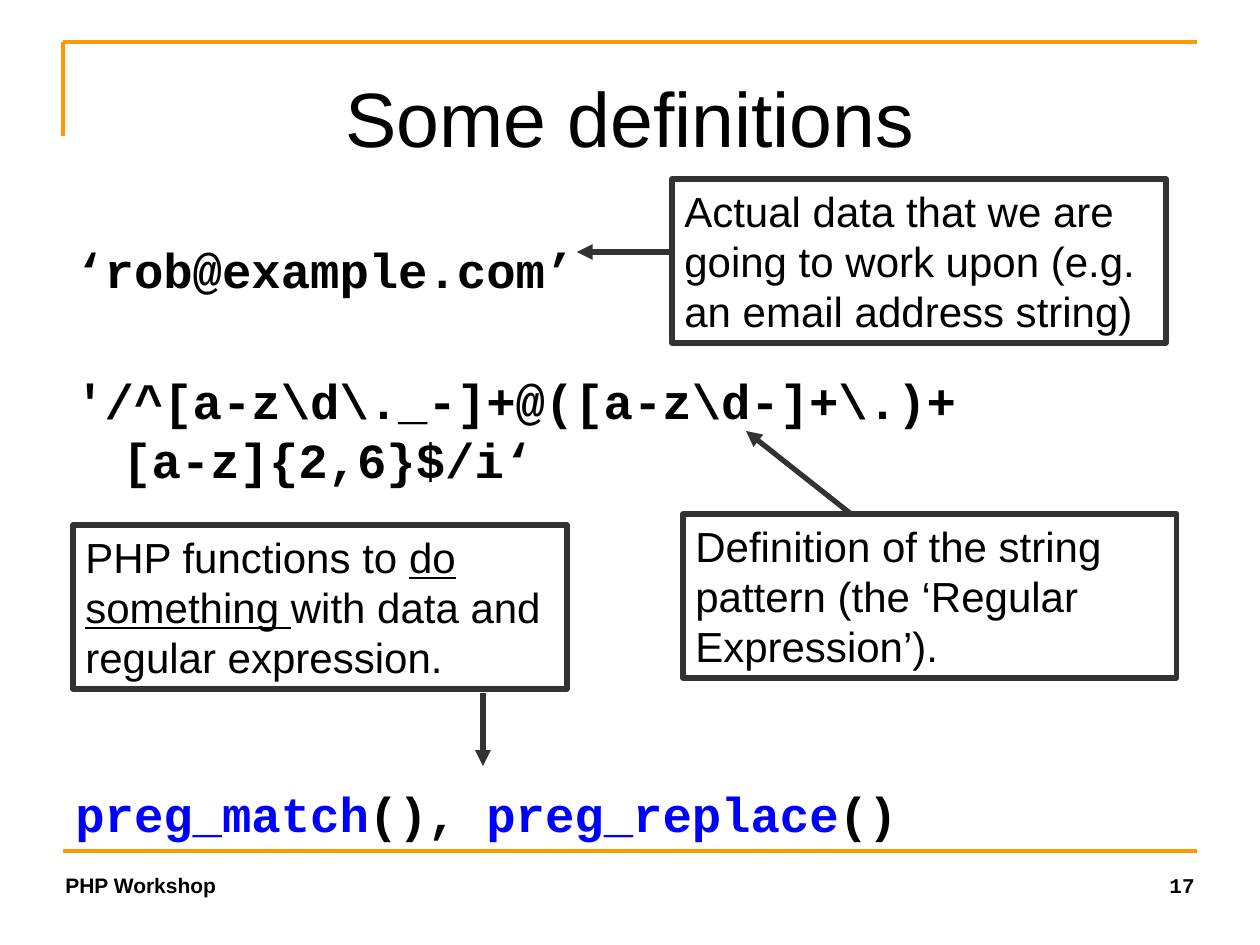
from pptx import Presentation
from pptx.dml.color import RGBColor
from pptx.enum.shapes import MSO_CONNECTOR, MSO_SHAPE
from pptx.enum.text import MSO_ANCHOR, PP_ALIGN
from pptx.oxml.ns import qn
from pptx.util import Pt
from lxml import etree

PX = 914400 / 126
BLACK = RGBColor(0x00, 0x00, 0x00)
BLUE = RGBColor(0x00, 0x00, 0xFF)
ORANGE = RGBColor(0xFF, 0x99, 0x00)
DARK = RGBColor(0x33, 0x33, 0x33)
SANS, MONO = "Arial", "Courier New"
STRAIGHT, RECTANGLE = MSO_CONNECTOR.STRAIGHT, MSO_SHAPE.RECTANGLE
LEFT, CENTER, RIGHT = PP_ALIGN.LEFT, PP_ALIGN.CENTER, PP_ALIGN.RIGHT
TOP, MIDDLE = MSO_ANCHOR.TOP, MSO_ANCHOR.MIDDLE


def emu(*lengths):
    return [round(length * PX) for length in lengths]


def add_run(paragraph, text, color=BLACK, **font_format):
    run = paragraph.add_run()
    run.text = text
    for name, value in font_format.items():
        setattr(run.font, name, value)
    run.font.color.rgb = color


def add_line(slide, start, end, color, width, arrow=False):
    line = slide.shapes.add_connector(STRAIGHT, *emu(*start, *end))
    line.line.color.rgb = color
    line.line.width = Pt(width)
    if arrow:
        etree.SubElement(line.line._get_or_add_ln(), qn("a:tailEnd"), type="triangle")
    etree.SubElement(line._element.spPr, qn("a:effectLst"))


def add_frame(slide, left, top, width, height):
    right, bottom = left + width, top + height
    add_line(slide, (left, bottom), (right, bottom), ORANGE, 2)
    add_line(slide, (left, top), (right, top), ORANGE, 2)
    add_line(slide, (left, top + 94), (left, top), ORANGE, 2)


def add_footer(slide, left, top, width, height):
    half = width // 2
    for offset, text, font, align in ((0, "PHP Workshop", SANS, LEFT),
                                      (half, "17", MONO, RIGHT)):
        box = slide.shapes.add_textbox(*emu(left + offset, top, half, height))
        box.text_frame.word_wrap = True
        paragraph = box.text_frame.paragraphs[0]
        paragraph.alignment = align
        add_run(paragraph, text, name=font, size=Pt(12), bold=True)


def add_title(slide, left, top, width, height):
    title = slide.shapes.title
    title.left, title.top, title.width, title.height = emu(left, top, width, height)
    title.text_frame.vertical_anchor = MIDDLE
    paragraph = title.text_frame.paragraphs[0]
    paragraph.alignment = CENTER
    add_run(paragraph, "Some definitions", name=SANS, size=Pt(44))


def add_code(slide, left, top, width, height):
    # Space before each paragraph leaves room for the callouts
    examples = [
        (0, [("‘rob@example.com’", BLACK)]),
        (41.6, [("'/^[a-z\\d\\._-]+@([a-z\\d-]+\\.)+\v[a-z]{2,6}$/i‘", BLACK)]),
        (168.6, [("preg_match", BLUE), ("(), ", BLACK),
                 ("preg_replace", BLUE), ("()", BLACK)]),
    ]
    frame = slide.shapes.add_textbox(*emu(left, top, width, height)).text_frame
    frame.word_wrap = True
    indent, = emu(47)
    for index, (space, parts) in enumerate(examples):
        paragraph = frame.add_paragraph() if index else frame.paragraphs[0]
        paragraph.space_before = Pt(space)
        properties = paragraph._p.get_or_add_pPr()
        properties.set("marL", str(indent))
        properties.set("indent", str(-indent))
        for part_index, (text, color) in enumerate(parts):
            for line_index, line in enumerate(text.split("\v")):
                if line_index:
                    paragraph.add_line_break()
                add_run(paragraph, line, color, name=MONO, size=Pt(28), bold=True)


def add_callout(slide, left, top, parts, arrow_start, arrow_end):
    callout = slide.shapes.add_shape(RECTANGLE, *emu(left, top, 494, 164))
    callout.shadow.inherit = False
    callout.fill.background()
    callout.line.color.rgb = DARK
    callout.line.width = Pt(3)
    frame = callout.text_frame
    frame.word_wrap = True
    frame.vertical_anchor = TOP
    paragraph = frame.paragraphs[0]
    paragraph.alignment = LEFT
    for text, underline in parts:
        add_run(paragraph, text, name=SANS, size=Pt(24), underline=underline)
    # Arrow offsets are measured from the callout's corner
    start, end = [(left + x, top + y) for x, y in (arrow_start, arrow_end)]
    add_line(slide, start, end, DARK, 3, arrow=True)


def main():
    presentation = Presentation()
    presentation.slide_width, presentation.slide_height = emu(1260, 945)
    slide = presentation.slides.add_slide(presentation.slide_layouts[5])
    add_frame(slide, 63, 42, 1134, 809)
    add_footer(slide, 53, 866, 1154, 40)
    add_title(slide, 63, 38, 1134, 158)
    add_code(slide, 63, 233, 1134, 611)
    add_callout(slide, 672, 179,
                [("Actual data that we are going to work upon "
                  "(e.g. an email address string)", False)],
                (0, 73), (-95, 73))
    add_callout(slide, 683, 514,
                [("Definition of the string pattern "
                  "(the ‘Regular Expression’).", False)],
                (168, 0), (63, -83))
    add_callout(slide, 73, 525,
                [("PHP functions to ", False), ("do something ", True),
                 ("with data and regular expression.", False)],
                (410, 168), (410, 241))
    presentation.save("out.pptx")


if __name__ == "__main__":
    main()
